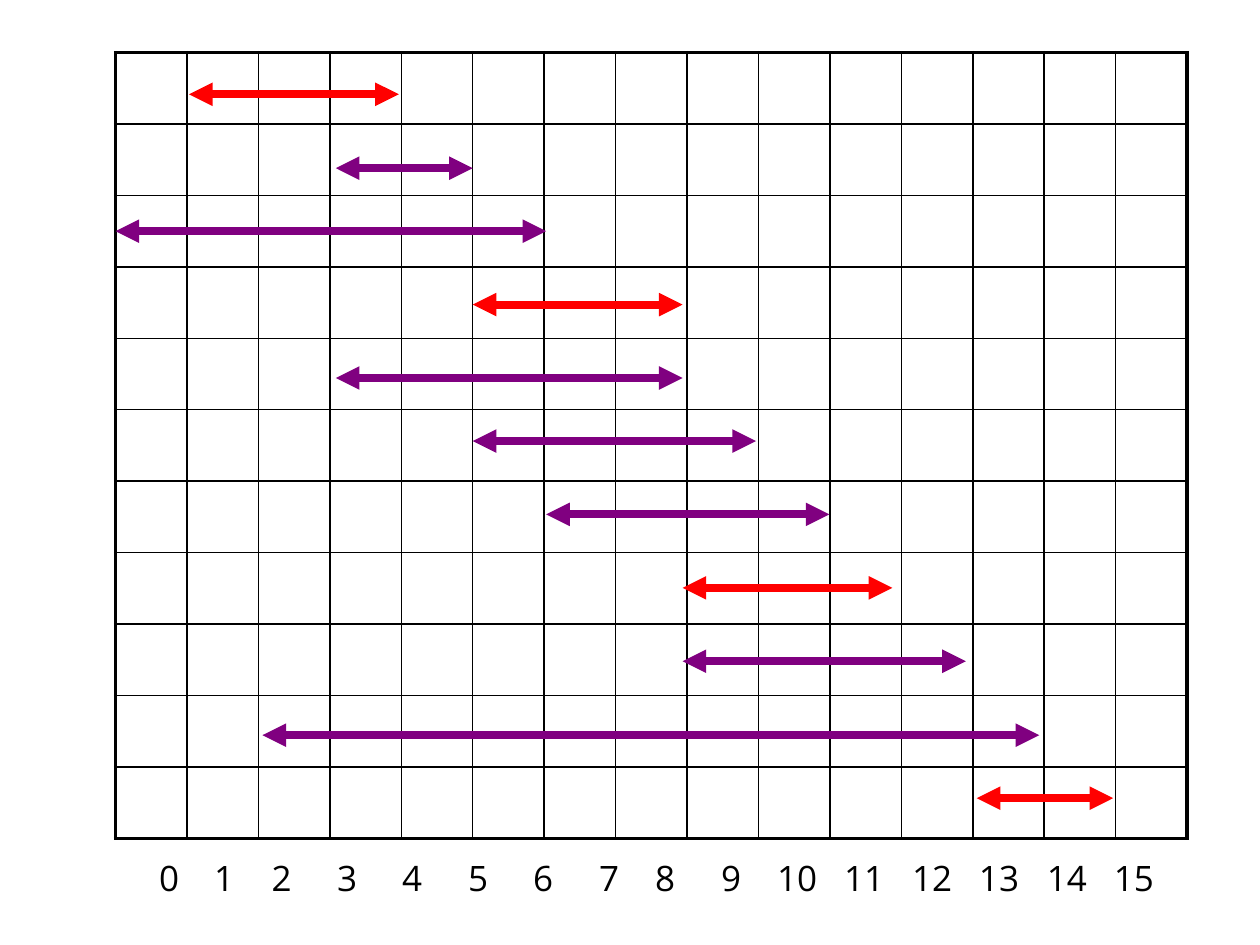
"""Build a slide of activity intervals on a time grid, with the chosen ones in red."""
import pptx
import pptx.dml.color
import pptx.enum.shapes
import pptx.enum.text
import pptx.oxml.xmlchemy
import pptx.util

Cm, Pt = pptx.util.Cm, pptx.util.Pt

CHOSEN, REJECTED, INK = "FF0000", "800080", "000000"
ACTIVITIES = [
    (3.81, 8.04, 1.9, CHOSEN),
    (6.77, 9.53, 3.39, REJECTED),
    (2.33, 11.01, 4.66, REJECTED),
    (9.53, 13.76, 6.14, CHOSEN),
    (6.77, 13.76, 7.62, REJECTED),
    (9.53, 15.24, 8.89, REJECTED),
    (11.01, 16.72, 10.37, REJECTED),
    (13.76, 17.99, 11.85, CHOSEN),
    (13.76, 19.47, 13.33, REJECTED),
    (5.29, 20.95, 14.82, REJECTED),
    (19.69, 22.44, 16.09, CHOSEN),
]
HOUR_CENTRES = [3.41, 4.52, 5.68, 7, 8.31, 9.64, 10.95, 12.28,
                13.41, 14.74, 16.07, 17.42, 18.79, 20.14, 21.51, 22.86]
GRID_LEFT, GRID_TOP, SLOT = 2.33, 1.06, 1.44
ROWS, COLUMNS = len(ACTIVITIES), len(HOUR_CENTRES) - 1
AXIS_LEFT, AXIS_INSET = 1.69, 0.25


def colour(value):
    return pptx.dml.color.RGBColor.from_string(value)


def add_element(parent, tag, **attributes):
    element = pptx.oxml.xmlchemy.OxmlElement(tag)
    for key, value in attributes.items():
        element.set(key, str(value))
    parent.append(element)
    return element


def add_border(cell, side, points):
    border = add_element(cell._tc.get_or_add_tcPr(), f"a:ln{side}", w=int(Pt(points)))
    add_element(add_element(border, "a:solidFill"), "a:srgbClr", val=INK)


def add_grid(slide):
    grid = slide.shapes.add_table(
        ROWS, COLUMNS, Cm(GRID_LEFT), Cm(GRID_TOP), Cm(SLOT * COLUMNS), Cm(SLOT * ROWS)
    ).table
    grid.first_row = grid.horz_banding = False
    for column in grid.columns:
        column.width = Cm(SLOT)
    for r, row in enumerate(grid.rows):
        row.height = Cm(SLOT)
        for c, cell in enumerate(row.cells):
            outer = {"L": c == 0, "R": c == COLUMNS - 1, "T": r == 0, "B": r == ROWS - 1}
            for side, is_outer in outer.items():
                add_border(cell, side, 2.25 if is_outer else 1)
            cell.fill.background()


def add_activity(slide, start, finish, height, shade):
    span = slide.shapes.add_connector(
        pptx.enum.shapes.MSO_CONNECTOR.STRAIGHT, Cm(start), Cm(height), Cm(finish), Cm(height))
    span.line.color.rgb = colour(shade)
    span.line.width = Pt(4.5)
    for end in ("a:headEnd", "a:tailEnd"):
        add_element(span.line._get_or_add_ln(), end, type="triangle")
    add_element(span._element.spPr, "a:effectLst")


def add_hours(slide):
    axis = slide.shapes.add_textbox(Cm(AXIS_LEFT), Cm(17.15), Cm(23.11), Cm(1.11)).text_frame
    axis.word_wrap = True
    axis.margin_left = axis.margin_right = Cm(AXIS_INSET)
    hours = axis.paragraphs[0]
    hours.alignment = pptx.enum.text.PP_ALIGN.LEFT
    stops = add_element(hours._p.get_or_add_pPr(), "a:tabLst")
    for hour, centre in enumerate(HOUR_CENTRES):
        add_element(stops, "a:tab", pos=int(Cm(centre - AXIS_LEFT - AXIS_INSET)), algn="ctr")
        label = hours.add_run()
        label.text = f"\t{hour}"
        label.font.name = "Open Sans"
        label.font.size = Pt(20)
        label.font.color.rgb = colour(INK)


def main():
    deck = pptx.Presentation()
    deck.slide_width, deck.slide_height = Cm(25.4), Cm(19.05)
    slide = deck.slides.add_slide(deck.slide_layouts[6])
    add_grid(slide)
    for activity in ACTIVITIES:
        add_activity(slide, *activity)
    add_hours(slide)
    deck.save("out.pptx")


if __name__ == "__main__":
    main()
